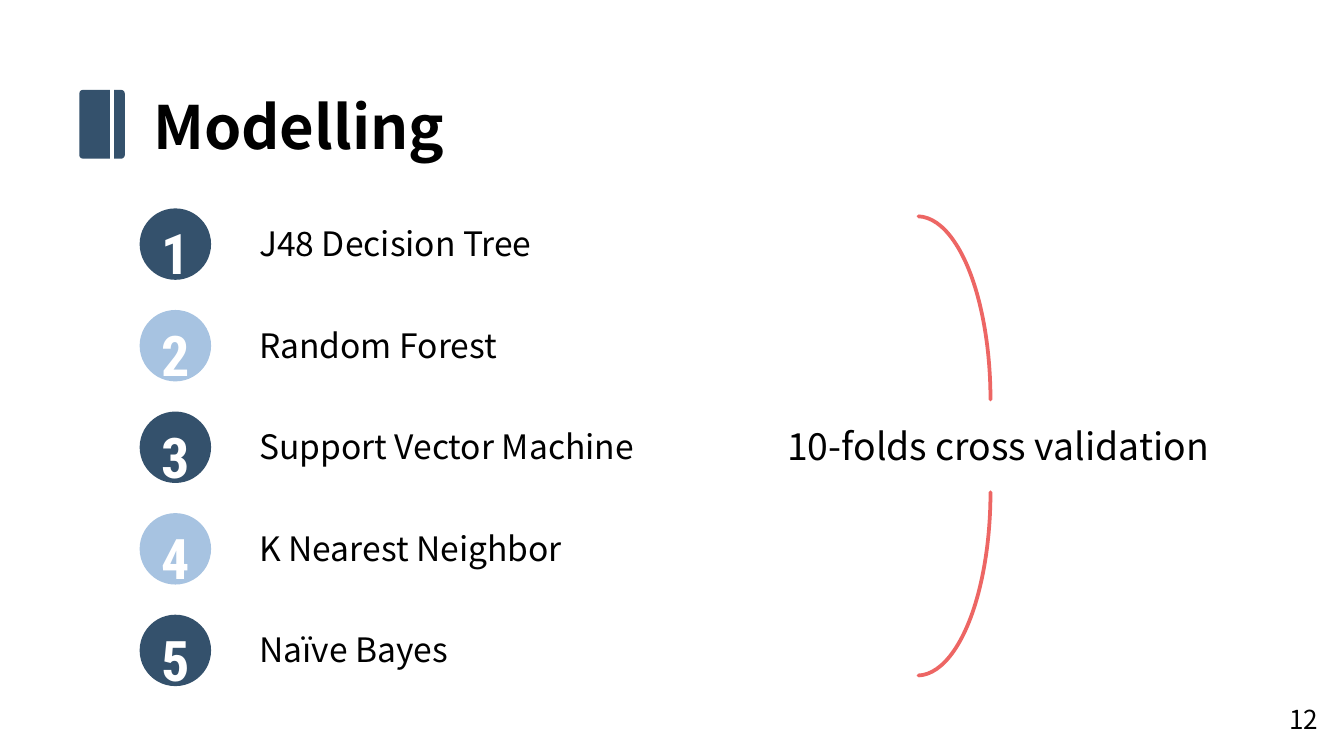
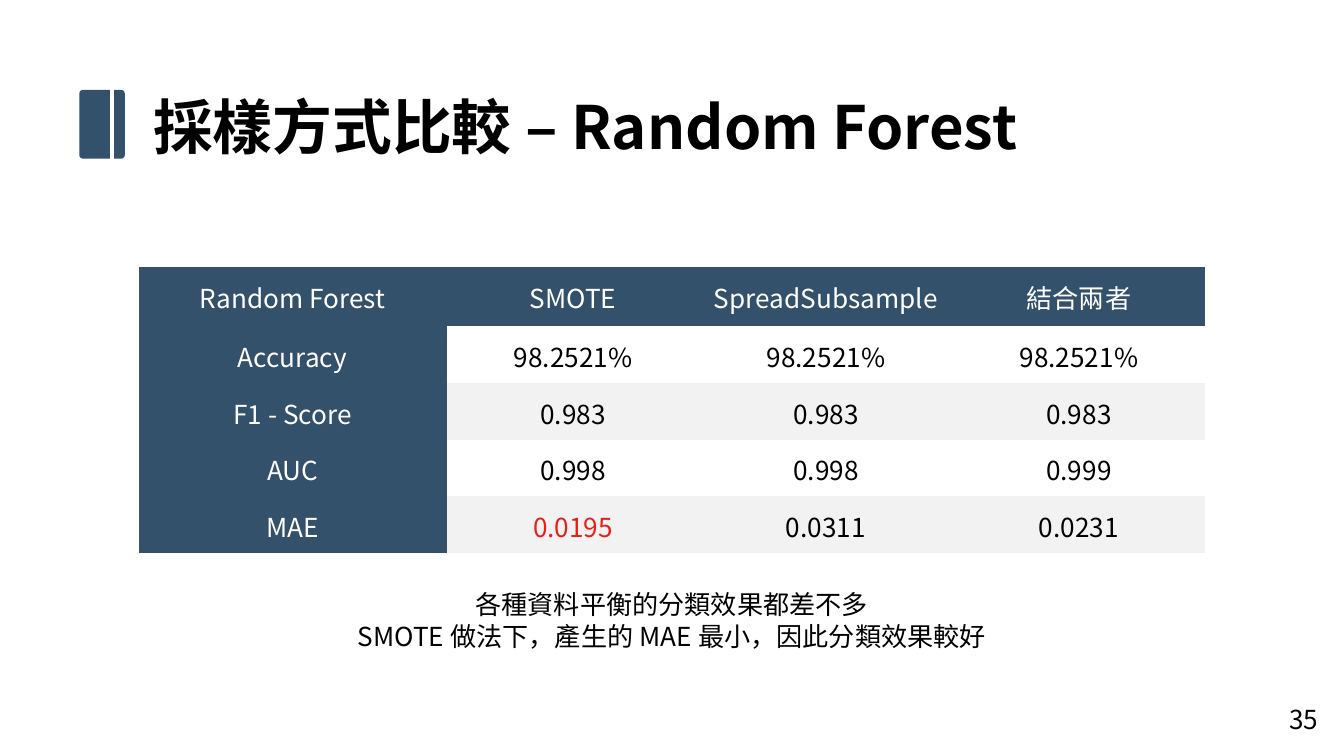
from dataclasses import dataclass

from lxml.etree import SubElement
from pptx import Presentation
from pptx.dml.color import RGBColor
from pptx.enum.shapes import MSO_CONNECTOR, MSO_SHAPE
from pptx.enum.text import MSO_ANCHOR, MSO_AUTO_SIZE, PP_ALIGN
from pptx.oxml.ns import qn
from pptx.shapes.autoshape import Shape
from pptx.slide import Slide
from pptx.text.text import TextFrame
from pptx.util import Cm, Pt

COLORS = {
    "navy": "34516C",
    "sky": "A7C3E1",
    "coral": "ED6664",
    "red": "E71F1C",
    "stripe": "F2F2F2",
    "white": "FFFFFF",
    "black": "000000",
}
BODY_FONT = "Noto Sans CJK JP"
NUMBER_FONT = "Roboto Condensed"
PLAIN_TABLE_STYLE = "{2D5ABB26-0587-4C30-8999-92F81FD0307C}"
TITLE_ONLY = 5


@dataclass(frozen=True)
class Box:
    """Left, top, width and height in centimetres."""
    left: float
    top: float
    width: float
    height: float

    def lengths(self) -> tuple[Cm, Cm, Cm, Cm]:
        return Cm(self.left), Cm(self.top), Cm(self.width), Cm(self.height)


@dataclass(frozen=True)
class TextStyle:
    size: float
    color: str = "black"
    bold: bool = False
    align: PP_ALIGN = PP_ALIGN.LEFT
    font: str = BODY_FONT


TITLE = TextStyle(32, bold=True)
MODEL = TextStyle(18)
VALIDATION = TextStyle(20, align=PP_ALIGN.CENTER)
SMALL = TextStyle(14, align=PP_ALIGN.CENTER)
HEADING = TextStyle(14, "white", align=PP_ALIGN.CENTER)
BEST = TextStyle(14, "red", align=PP_ALIGN.CENTER)
BADGE = TextStyle(30, "white", True, PP_ALIGN.CENTER, NUMBER_FONT)

MODELS = [
    "J48 Decision Tree",
    "Random Forest",
    "Support Vector Machine",
    "K Nearest Neighbor",
    "Naïve Bayes",
]
SCORES = [
    ["Random Forest", "SMOTE", "SpreadSubsample", "結合兩者"],
    ["Accuracy", "98.2521%", "98.2521%", "98.2521%"],
    ["F1 - Score", "0.983", "0.983", "0.983"],
    ["AUC", "0.998", "0.998", "0.999"],
    ["MAE", "0.0195", "0.0311", "0.0231"],
]
BEST_SCORE = "0.0195"


def rgb(name: str) -> RGBColor:
    return RGBColor.from_string(COLORS[name])


def write(frame: TextFrame, text: str, style: TextStyle) -> None:
    """Fill the frame, one paragraph per line of text."""
    frame.text = text
    for paragraph in frame.paragraphs:
        paragraph.alignment = style.align
        font = paragraph.font
        font.size = Pt(style.size)
        font.bold = style.bold
        font.color.rgb = rgb(style.color)
        font.name = style.font
        defaults = paragraph._p.get_or_add_pPr().get_or_add_defRPr()
        SubElement(defaults, qn("a:ea")).set("typeface", style.font)


def add_text(slide: Slide, box: Box, text: str, style: TextStyle) -> None:
    frame = slide.shapes.add_textbox(*box.lengths()).text_frame
    frame.word_wrap = True
    write(frame, text, style)


def add_filled(slide: Slide, kind: MSO_SHAPE, box: Box, color: str) -> Shape:
    shape = slide.shapes.add_shape(kind, *box.lengths())
    shape.shadow.inherit = False
    shape.fill.solid()
    shape.fill.fore_color.rgb = rgb(color)
    shape.line.fill.background()
    return shape


def add_titled_slide(prs: Presentation, title: str, page: int) -> Slide:
    """Add a slide with the title, its book-spine mark and the page number."""
    slide = prs.slides.add_slide(prs.slide_layouts[TITLE_ONLY])
    heading = slide.shapes.title
    heading.left, heading.top, heading.width, heading.height = Box(2.64, 1.57, 21.36, 1.63).lengths()
    frame = heading.text_frame
    frame.auto_size = MSO_AUTO_SIZE.NONE
    frame.vertical_anchor = MSO_ANCHOR.TOP
    write(frame, title, TITLE)

    spine = add_filled(slide, MSO_SHAPE.ROUNDED_RECTANGLE, Box(1.5, 1.7, 0.86, 1.3), "navy")
    spine.adjustments[0] = 0.08
    groove = slide.shapes.add_connector(MSO_CONNECTOR.STRAIGHT, Cm(2.11), Cm(1.52), Cm(2.11), Cm(3.25))
    groove.line.color.rgb = rgb("white")
    groove.line.width = Pt(2)
    SubElement(groove._element.spPr, qn("a:effectLst"))

    add_text(slide, Box(23.88, 13.18, 1.52, 1.09), str(page), SMALL)
    return slide


def add_model(slide: Slide, number: int, model: str) -> None:
    top = 3.94 + 1.92 * (number - 1)
    badge = add_filled(slide, MSO_SHAPE.OVAL, Box(2.64, top, 1.35, 1.35), "navy" if number % 2 else "sky")
    frame = badge.text_frame
    frame.word_wrap = False
    frame.vertical_anchor = MSO_ANCHOR.MIDDLE
    frame.margin_top = Cm(0.38)
    frame.margin_left = frame.margin_right = frame.margin_bottom = Cm(0.25)
    write(frame, str(number), BADGE)
    frame.paragraphs[0].line_spacing = 1.15
    add_text(slide, Box(4.65, top + 0.15, 8.05, 1.02), model, MODEL)


def add_bracket_arc(slide: Slide, top: float, flipped: bool) -> None:
    arc = slide.shapes.add_shape(MSO_SHAPE.ARC, *Box(15.95, top, 2.77, 6.93).lengths())
    arc.shadow.inherit = False
    arc.fill.background()
    arc.adjustments[0] = 162.24
    arc.adjustments[1] = 0
    arc.line.color.rgb = rgb("coral")
    arc.line.width = Pt(2)
    arc.line._get_or_add_ln().set("cap", "rnd")
    if flipped:
        arc._element.spPr.find(qn("a:xfrm")).set("flipV", "1")


def add_scores(slide: Slide) -> None:
    widths = [5.82] + [4.78] * 3
    heights = [1.12] + [1.07] * 4
    box = Box(2.62, 5.05, sum(widths), sum(heights))
    table = slide.shapes.add_table(len(heights), len(widths), *box.lengths()).table
    table.horz_banding = table.first_row = False
    table._tbl.tblPr.find(qn("a:tableStyleId")).text = PLAIN_TABLE_STYLE
    for column, width in zip(table.columns, widths):
        column.width = Cm(width)
    for row, height in zip(table.rows, heights):
        row.height = Cm(height)

    for r, scores in enumerate(SCORES):
        for c, score in enumerate(scores):
            cell = table.cell(r, c)
            cell.vertical_anchor = MSO_ANCHOR.MIDDLE
            cell.margin_left = cell.margin_right = Cm(0.2)
            cell.margin_top = cell.margin_bottom = Cm(0.2)
            if r == 0 or c == 0:
                fill, style = "navy", HEADING
            else:
                fill = "white" if r % 2 else "stripe"
                style = BEST if score == BEST_SCORE else SMALL
            cell.fill.solid()
            cell.fill.fore_color.rgb = rgb(fill)
            write(cell.text_frame, score, style)


def build_modelling(prs: Presentation) -> None:
    slide = add_titled_slide(prs, "Modelling", 12)
    for number, model in enumerate(MODELS, start=1):
        add_model(slide, number, model)
    add_text(slide, Box(13.77, 7.87, 10.19, 1.12), "10-folds cross validation", VALIDATION)
    add_bracket_arc(slide, 4.09, flipped=False)
    add_bracket_arc(slide, 5.84, flipped=True)


def build_comparison(prs: Presentation) -> None:
    slide = add_titled_slide(prs, "採樣方式比較 – Random Forest", 35)
    add_scores(slide)
    conclusion = "各種資料平衡的分類效果都差不多\nSMOTE 做法下，產生的 MAE 最小，因此分類效果較好"
    add_text(slide, Box(0, 11, 25.4, 1.45), conclusion, SMALL)


def main() -> None:
    prs = Presentation()
    prs.slide_width, prs.slide_height = Cm(25.4), Cm(14.29)
    build_modelling(prs)
    build_comparison(prs)
    prs.save("out.pptx")


if __name__ == "__main__":
    main()
